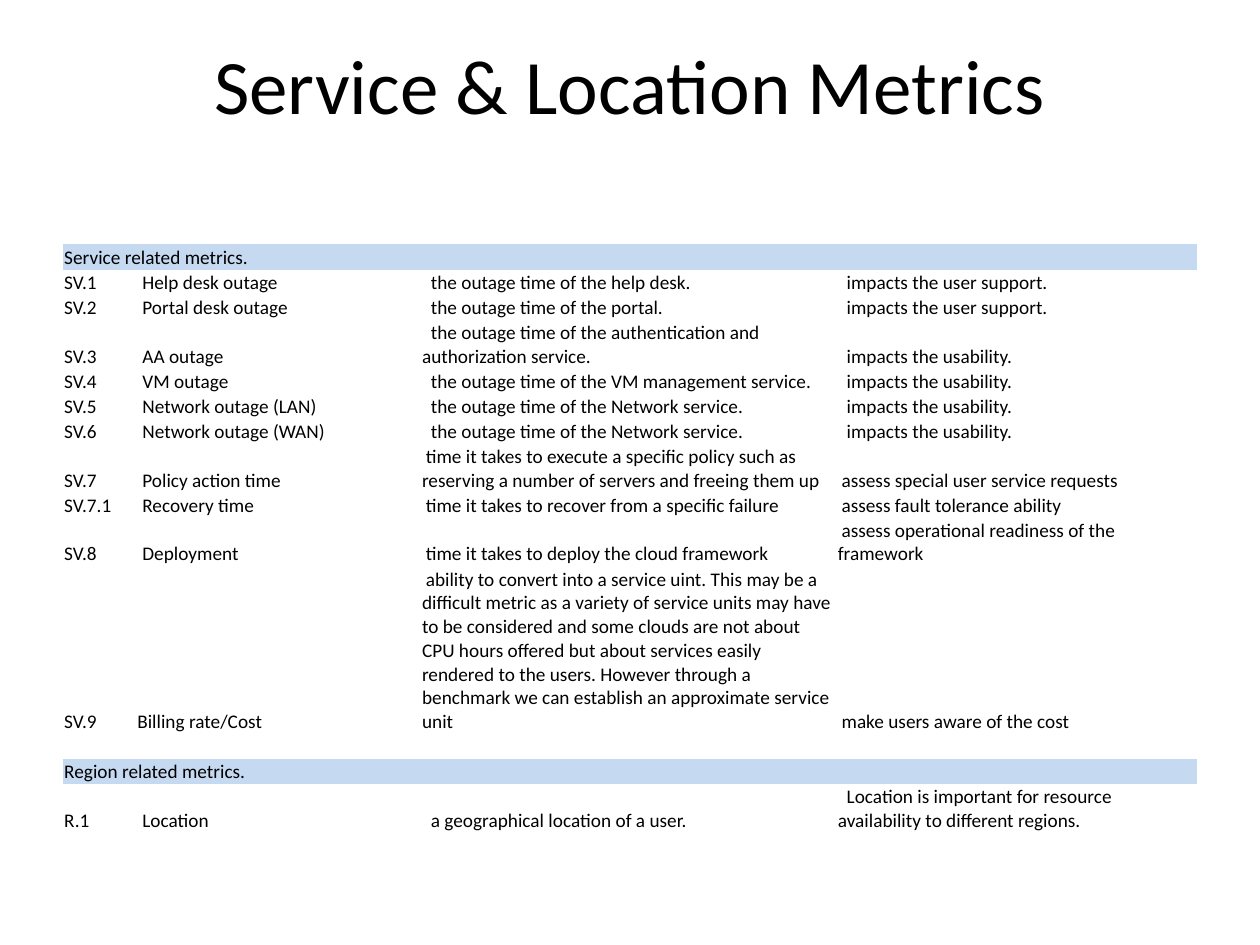
import dataclasses
import typing

import pptx
import pptx.dml.color
import pptx.enum.text
import pptx.oxml.ns
import pptx.slide
import pptx.table
import pptx.text.text
import pptx.util
from lxml import etree

Inches = pptx.util.Inches
Pt = pptx.util.Pt
RGB = pptx.dml.color.RGBColor
qn = pptx.oxml.ns.qn


@dataclasses.dataclass(frozen=True)
class Theme:
    font: str = "Calibri"
    ink: RGB = RGB(0, 0, 0)
    band: RGB = RGB(0xC5, 0xD9, 0xF1)
    title: int = 44
    body: int = 11
    plain: str = "{2D5ABB26-0587-4C30-8999-92F81FD0307C}"  # no style, no grid


THEME = Theme()
SLIM, WIDE = 0.03, 0.07  # first-line indents in inches
LINE, STEP = 0.19, 0.18  # height of one line, and of each further line
COLS = (0.55, 2.29, 3.3, 2.86)


@dataclasses.dataclass(frozen=True)
class Band:
    text: str
    lines: int = 1


@dataclasses.dataclass(frozen=True)
class Metric:
    code: str = ""
    name: str = ""
    what: str = ""
    why: str = ""
    lines: int = 1
    lead: float = WIDE  # indent of the two text columns
    inset: float = WIDE  # indent of the name


USER = "impacts the user support."
USE = "impacts the usability."
NET = "the outage time of the Network service."
COST = (
    "ability to convert into a service uint. This may be a difficult metric "
    "as a variety of service units may have to be considered and some clouds "
    "are not about CPU hours offered but about services easily rendered to "
    "the users. However through a benchmark we can establish an approximate "
    "service unit"
)
ROWS: tuple[typing.Union[Band, Metric], ...] = (
    Band("Service related metrics."),
    Metric("SV.1", "Help desk outage", "the outage time of the help desk.", USER),
    Metric("SV.2", "Portal desk outage", "the outage time of the portal.", USER),
    Metric("SV.3", "AA outage",
           "the outage time of the authentication and authorization service.",
           USE, lines=2),
    Metric("SV.4", "VM outage",
           "the outage time of the VM management service.", USE),
    Metric("SV.5", "Network outage (LAN)", NET, USE),
    Metric("SV.6", "Network outage (WAN)", NET, USE),
    Metric("SV.7", "Policy action time",
           "time it takes to execute a specific policy such as reserving "
           "a number of servers and freeing them up",
           "assess special user service requests", lines=2, lead=SLIM),
    Metric("SV.7.1", "Recovery time",
           "time it takes to recover from a specific failure",
           "assess fault tolerance ability", lead=SLIM),
    Metric("SV.8", "Deployment", "time it takes to deploy the cloud framework",
           "assess operational readiness of the framework", lines=2, lead=SLIM),
    Metric("SV.9", "Billing rate/Cost", COST, "make users aware of the cost",
           lines=6, lead=SLIM, inset=SLIM),
    Metric(),
    Band("Region related metrics."),
    Metric("R.1", "Location", "a geographical location of a user.",
           "Location is important for resource availability to different regions.",
           lines=2),
)


def add_run(para: pptx.text.text._Paragraph, text: str, size: int) -> None:
    run = para.add_run()
    run.text = text
    run.font.name = THEME.font
    run.font.size = Pt(size)
    run.font.color.rgb = THEME.ink


def fill_cell(cell: pptx.table._Cell, text: str, lead: float = 0) -> None:
    cell.margin_left = cell.margin_right = cell.margin_top = Inches(0.01)
    cell.margin_bottom = 0
    cell.vertical_anchor = pptx.enum.text.MSO_ANCHOR.BOTTOM
    cell.fill.background()
    para = cell.text_frame.paragraphs[0]
    if text:
        props = para._p.get_or_add_pPr()
        props.set("marL", "0")
        props.set("indent", str(Inches(lead)))
        add_run(para, text, THEME.body)
    else:
        # An empty cell keeps the body size so its row stays low
        end = etree.SubElement(para._p, qn("a:endParaRPr"))
        end.set("sz", str(THEME.body * 100))


def draw_title(slide: pptx.slide.Slide, text: str) -> None:
    title = slide.shapes.title
    title.left, title.top = Inches(0.5), Inches(0.04)
    title.width, title.height = Inches(9), Inches(1.25)
    frame = title.text_frame
    frame.vertical_anchor = pptx.enum.text.MSO_ANCHOR.MIDDLE
    para = frame.paragraphs[0]
    para.alignment = pptx.enum.text.PP_ALIGN.CENTER
    add_run(para, text, THEME.title)


def draw_band(table: pptx.table.Table, row: int, band: Band) -> None:
    for col in range(len(COLS)):
        fill_cell(table.cell(row, col), "" if col else band.text)
    first = table.cell(row, 0)
    first.merge(table.cell(row, len(COLS) - 1))
    first.fill.solid()
    first.fill.fore_color.rgb = THEME.band


def draw_metric(table: pptx.table.Table, row: int, item: Metric) -> None:
    texts = (item.code, item.name, item.what, item.why)
    leads = (0, item.inset, item.lead, item.lead)
    for col, (text, lead) in enumerate(zip(texts, leads)):
        fill_cell(table.cell(row, col), text, lead)


def draw_table(slide: pptx.slide.Slide) -> None:
    highs = [LINE + STEP * (item.lines - 1) for item in ROWS]
    frame = slide.shapes.add_table(
        len(ROWS), len(COLS), Inches(0.5), Inches(1.94),
        Inches(sum(COLS)), Inches(sum(highs)))
    table = frame.table
    table.first_row = table.horz_banding = False
    for style in frame.element.iter(qn("a:tableStyleId")):
        style.text = THEME.plain
    for col, width in zip(table.columns, COLS):
        col.width = Inches(width)
    for num, (item, high) in enumerate(zip(ROWS, highs)):
        table.rows[num].height = Inches(high)
        if isinstance(item, Band):
            draw_band(table, num, item)
        else:
            draw_metric(table, num, item)


def main() -> None:
    deck = pptx.Presentation()
    deck.slide_width, deck.slide_height = Inches(10), Inches(7.5)
    slide = deck.slides.add_slide(deck.slide_layouts[5])  # title only
    draw_title(slide, "Service & Location Metrics")
    draw_table(slide)
    deck.save("out.pptx")


if __name__ == "__main__":
    main()
